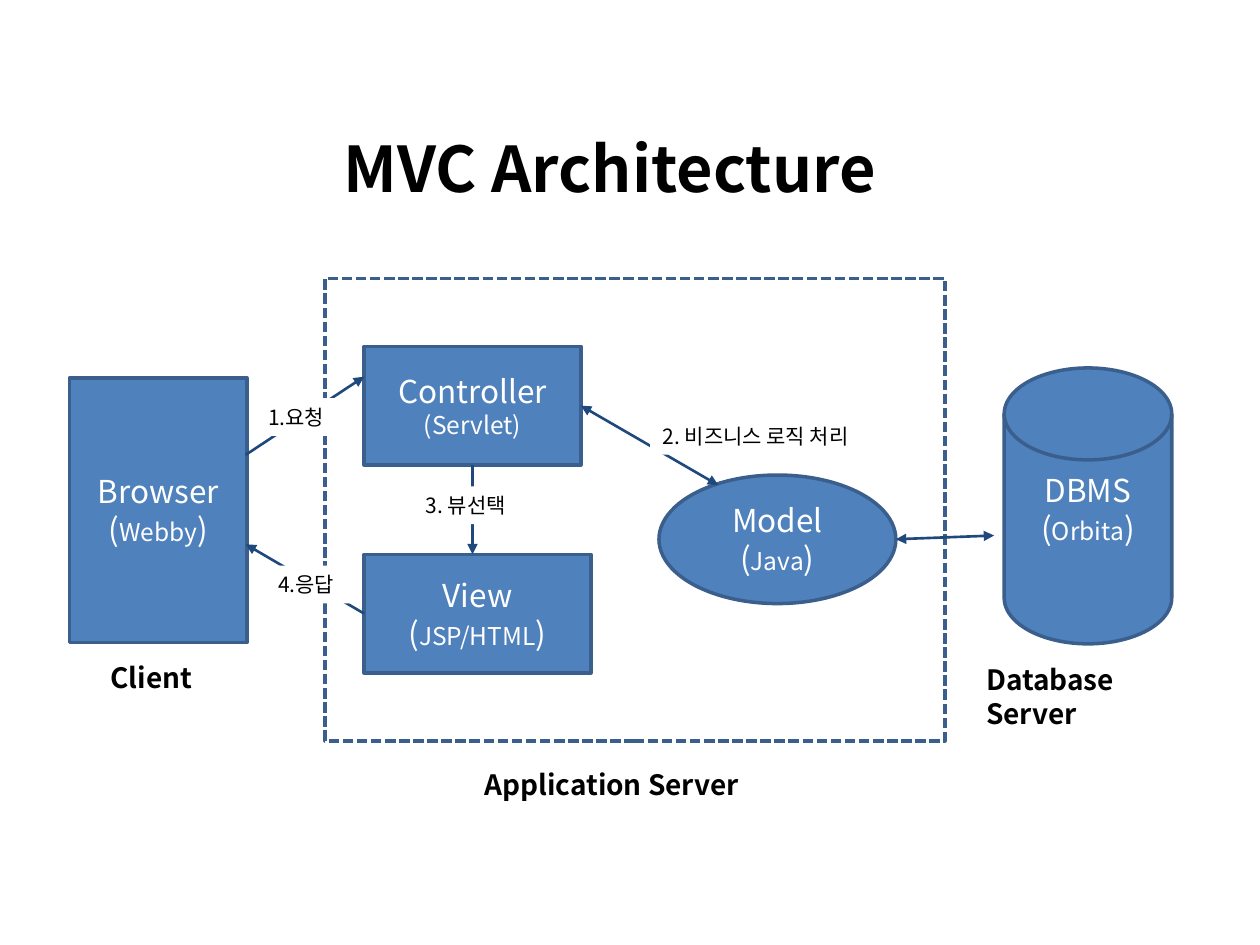
"""Build the MVC Architecture slide."""
import lxml.etree
import pptx
import pptx.dml.color
import pptx.enum.dml
import pptx.enum.shapes
import pptx.enum.text
import pptx.oxml.ns
import pptx.util

Inches = pptx.util.Inches
RGBColor = pptx.dml.color.RGBColor
SHAPE = pptx.enum.shapes.MSO_SHAPE
ALIGN = pptx.enum.text.PP_ALIGN
ANCHOR = pptx.enum.text.MSO_ANCHOR
qn = pptx.oxml.ns.qn

FONT = "Noto Sans CJK KR"
BLUE = RGBColor(0x4F, 0x81, 0xBD)
EDGE = RGBColor(0x3A, 0x5F, 0x8C)
NAVY = RGBColor(0x1F, 0x49, 0x7D)
WHITE = RGBColor(0xFF, 0xFF, 0xFF)
BLACK = RGBColor(0, 0, 0)


def format_paragraph(p, size, color, bold=False, align=ALIGN.LEFT):
    """Set the alignment and the font of a paragraph."""
    p.alignment = align
    p.font.name = FONT
    p.font.size = pptx.util.Pt(size)
    p.font.bold = bold
    p.font.color.rgb = color
    props = p._p.get_or_add_pPr().find(qn("a:defRPr"))
    lxml.etree.SubElement(props, qn("a:ea")).set("typeface", FONT)


def add_shape(slide, kind, box):
    """Add an outlined shape without a shadow."""
    s = slide.shapes.add_shape(kind, *map(Inches, box))
    s.shadow.inherit = False
    s.line.color.rgb = EDGE
    s.line.width = pptx.util.Pt(2)
    return s


def add_node(slide, kind, box, name, detail, small_brackets=False):
    """Add a blue shape with a name and a smaller bracketed detail."""
    s = add_shape(slide, kind, box)
    s.fill.solid()
    s.fill.fore_color.rgb = BLUE
    tf = s.text_frame
    tf.word_wrap = True
    tf.vertical_anchor = ANCHOR.MIDDLE
    tf.text = name
    p = tf.add_paragraph()
    for text in ("(", detail, ")"):
        r = p.add_run()
        r.text = text
        if text == detail or small_brackets:
            r.font.size = pptx.util.Pt(14)
    for p in tf.paragraphs:
        format_paragraph(p, 18, WHITE, align=ALIGN.CENTER)
    return s


def add_server_frame(slide):
    """Add the dashed outline of the application server."""
    s = add_shape(slide, SHAPE.RECTANGLE, (2.58, 2.21, 4.92, 3.67))
    s.fill.background()
    s.line.dash_style = pptx.enum.dml.MSO_LINE.SQUARE_DOT


def add_label(slide, box, text, size, bold=False, fill=None):
    """Add a black text label, on a filled ground if a fill is given."""
    s = slide.shapes.add_textbox(*map(Inches, box))
    if fill is not None:
        s.fill.solid()
        s.fill.fore_color.rgb = fill
    tf = s.text_frame
    tf.word_wrap = True
    tf.text = text
    format_paragraph(tf.paragraphs[0], size, BLACK, bold)


def add_arrow(slide, start, end, source=None, site=0, double=False):
    """Add an arrow, joined at its start to a site of the source."""
    points = map(Inches, (*start, *end))
    s = slide.shapes.add_connector(
        pptx.enum.shapes.MSO_CONNECTOR.STRAIGHT, *points)
    if source is not None:
        s.begin_connect(source, site)
    s.line.color.rgb = NAVY
    s.line.width = pptx.util.Pt(1.5)
    line = s.line._get_or_add_ln()
    for tag in ("a:headEnd", "a:tailEnd") if double else ("a:tailEnd",):
        lxml.etree.SubElement(line, qn(tag)).set("type", "triangle")
    lxml.etree.SubElement(s._element.spPr, qn("a:effectLst"))


def add_title(slide, text):
    """Fill and place the title placeholder."""
    s = slide.shapes.title
    s.left, s.top, s.width, s.height = map(Inches, (1.95, 0.97, 5.78, 0.71))
    tf = s.text_frame
    tf.text = text
    tf.auto_size = pptx.enum.text.MSO_AUTO_SIZE.NONE
    tf.vertical_anchor = ANCHOR.MIDDLE
    format_paragraph(tf.paragraphs[0], 36, BLACK, True, ALIGN.CENTER)


def main():
    """Build and save the presentation."""
    prs = pptx.Presentation()
    prs.slide_width, prs.slide_height = Inches(10), Inches(7.5)
    slide = prs.slides.add_slide(prs.slide_layouts[5])
    add_title(slide, "MVC Architecture")

    add_server_frame(slide)
    add_node(slide, SHAPE.RECTANGLE, (0.55, 3, 1.41, 2.1), "Browser", "Webby")
    controller = add_node(slide, SHAPE.RECTANGLE, (2.89, 2.75, 1.72, 0.94),
                          "Controller", "Servlet", small_brackets=True)
    view = add_node(slide, SHAPE.RECTANGLE, (2.89, 4.4, 1.8, 0.94),
                    "View", "JSP/HTML")
    add_node(slide, SHAPE.OVAL, (5.23, 3.77, 1.88, 1.02), "Model", "Java")
    database = add_node(slide, SHAPE.FLOWCHART_MAGNETIC_DISK,
                        (7.97, 2.92, 1.33, 2.19), "DBMS", "Orbita")
    database.text_frame.margin_bottom = Inches(0.37)

    for box, text in (
        ((0.78, 5.19, 0.94, 0.37), "Client"),
        ((3.75, 6.04, 3.36, 0.37), "Application Server"),
        ((7.73, 5.21, 1.95, 0.37), "Database Server"),
    ):
        add_label(slide, box, text, 16, bold=True)

    add_arrow(slide, (1.95, 3.61), (2.89, 2.99))
    add_arrow(slide, (4.61, 3.22), (5.7, 3.85), controller, 3, double=True)
    add_arrow(slide, (2.89, 4.87), (1.95, 4.32), view, 1)
    add_arrow(slide, (3.75, 3.69), (3.75, 4.4), controller, 2)
    add_arrow(slide, (7.11, 4.28), (7.89, 4.25), double=True)

    for box, text in (
        ((2.03, 3.16, 0.7, 0.3), "1.요청"),
        ((5.16, 3.31, 2.19, 0.3), "2. 비즈니스 로직 처리"),
        ((3.28, 3.86, 1.09, 0.3), "3. 뷰선택"),
        ((2.11, 4.49, 0.7, 0.3), "4.응답"),
    ):
        add_label(slide, box, text, 12, fill=WHITE)

    prs.save("out.pptx")


if __name__ == "__main__":
    main()
